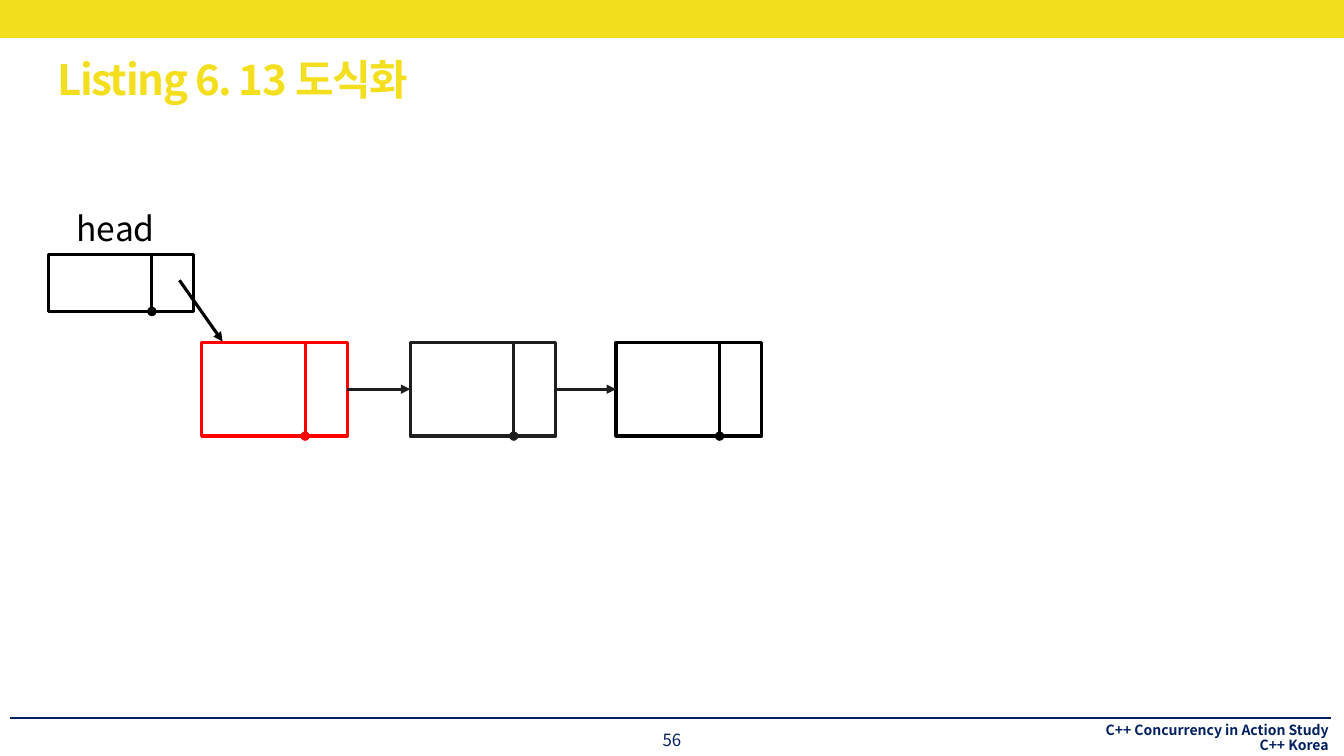
from lxml import etree
from pptx import Presentation
from pptx.dml.color import RGBColor
from pptx.enum.shapes import MSO_CONNECTOR, MSO_SHAPE
from pptx.enum.text import MSO_ANCHOR, PP_ALIGN
from pptx.oxml.ns import qn
from pptx.util import Pt

RECT = MSO_SHAPE.RECTANGLE
LINE = MSO_CONNECTOR.STRAIGHT
MID = MSO_ANCHOR.MIDDLE
LEFT, CENTER, RIGHT = PP_ALIGN.LEFT, PP_ALIGN.CENTER, PP_ALIGN.RIGHT
FONT = "Noto Sans CJK KR"
GOLD, NAVY, BLACK, GREY, RED = "F4DF1E", "002060", "000000", "1E1E1E", "FF0000"


def color(code):
    return RGBColor.from_string(code)


def format(item, values):
    for name, value in values.items():
        setattr(item, name, value)


class Board:
    font = FONT
    stroke = 2.25
    width = 104
    split = 74

    def __init__(self, deck):
        self.slide = deck.slides.add_slide(deck.slide_layouts[5])

    def text(self, shape, text, size, code, align=LEFT, bold=False,
             space=1, track=None, wrap=False):
        frame = shape.text_frame
        format(frame, dict(margin_left=0, margin_right=0, margin_top=0,
                           margin_bottom=0, word_wrap=wrap, vertical_anchor=MID))
        frame.text = text
        for para in frame.paragraphs:
            format(para, dict(alignment=align, line_spacing=space))
            for run in para.runs:
                format(run.font, dict(name=self.font, size=Pt(size), bold=bold))
                run.font.color.rgb = color(code)
                props = run._r.get_or_add_rPr()
                etree.SubElement(props, qn("a:ea"), typeface=self.font)
                if track is not None:
                    props.set("spc", str(track * 100))

    def title(self, text, x, y, w, h):
        shape = self.slide.shapes.title
        format(shape, dict(left=Pt(x), top=Pt(y), width=Pt(w), height=Pt(h)))
        self.text(shape, text, 30, GOLD, bold=True, space=0.9, track=-1, wrap=True)

    def label(self, text, x, y, w, h, size, code, **style):
        shape = self.slide.shapes.add_textbox(Pt(x), Pt(y), Pt(w), Pt(h))
        self.text(shape, text, size, code, **style)

    def box(self, x, y, w, h, fill=None, edge=None, home=None):
        shapes = (home or self.slide).shapes
        shape = shapes.add_shape(RECT, Pt(x), Pt(y), Pt(w), Pt(h))
        shape.shadow.inherit = False
        if fill:
            shape.fill.solid()
            shape.fill.fore_color.rgb = color(fill)
        else:
            shape.fill.background()
        if edge:
            shape.line.color.rgb = color(edge)
            shape.line.width = Pt(self.stroke)
        else:
            shape.line.fill.background()

    def line(self, x, y, to_x, to_y, code, width=stroke, tip=None, home=None):
        shapes = (home or self.slide).shapes
        line = shapes.add_connector(LINE, Pt(x), Pt(y), Pt(to_x), Pt(to_y))
        line.line.color.rgb = color(code)
        line.line.width = Pt(width)
        props = line._element.spPr
        if tip:
            etree.SubElement(props.find(qn("a:ln")), qn("a:tailEnd"), type=tip)
        etree.SubElement(props, qn("a:effectLst"))

    def node(self, x, y, h, code):
        group = self.slide.shapes.add_group_shape()
        self.box(x, y, self.width, h, edge=code, home=group)
        mid = x + self.split
        self.line(mid, y, mid, y + h, code, tip="oval", home=group)


def main():
    deck = Presentation()
    format(deck, dict(slide_width=Pt(960), slide_height=Pt(540)))
    board = Board(deck)

    board.line(7, 513, 950.5, 513, NAVY, width=1)
    board.label("C++ Concurrency in Action Study\nC++ Korea", 786, 515.5, 163, 24.5,
                10, NAVY, align=RIGHT, bold=True, space=0.85)
    board.box(0, 0, 960, 27, fill=GOLD)
    board.title("Listing 6. 13 도식화", 41, 42.5, 919, 32.4)
    board.label("56", 440, 517.5, 80, 22.5, 12, NAVY, align=CENTER)

    board.node(34.5, 182, 40.5, BLACK)
    board.label("head", 54.7, 148.3, 62.6, 28.8, 24, BLACK)
    board.line(128.2, 200.2, 159, 244, BLACK, tip="triangle")

    top, high = 244.5, 67
    level = top + high / 2
    nodes = [(144, RED), (293, GREY), (440, BLACK)]
    for x, code in nodes:
        board.node(x, top, high, code)
    for (x, _), (goal, _) in zip(nodes, nodes[1:]):
        board.line(x + board.width, level, goal, level, GREY, tip="triangle")

    deck.save("out.pptx")


if __name__ == "__main__":
    main()
